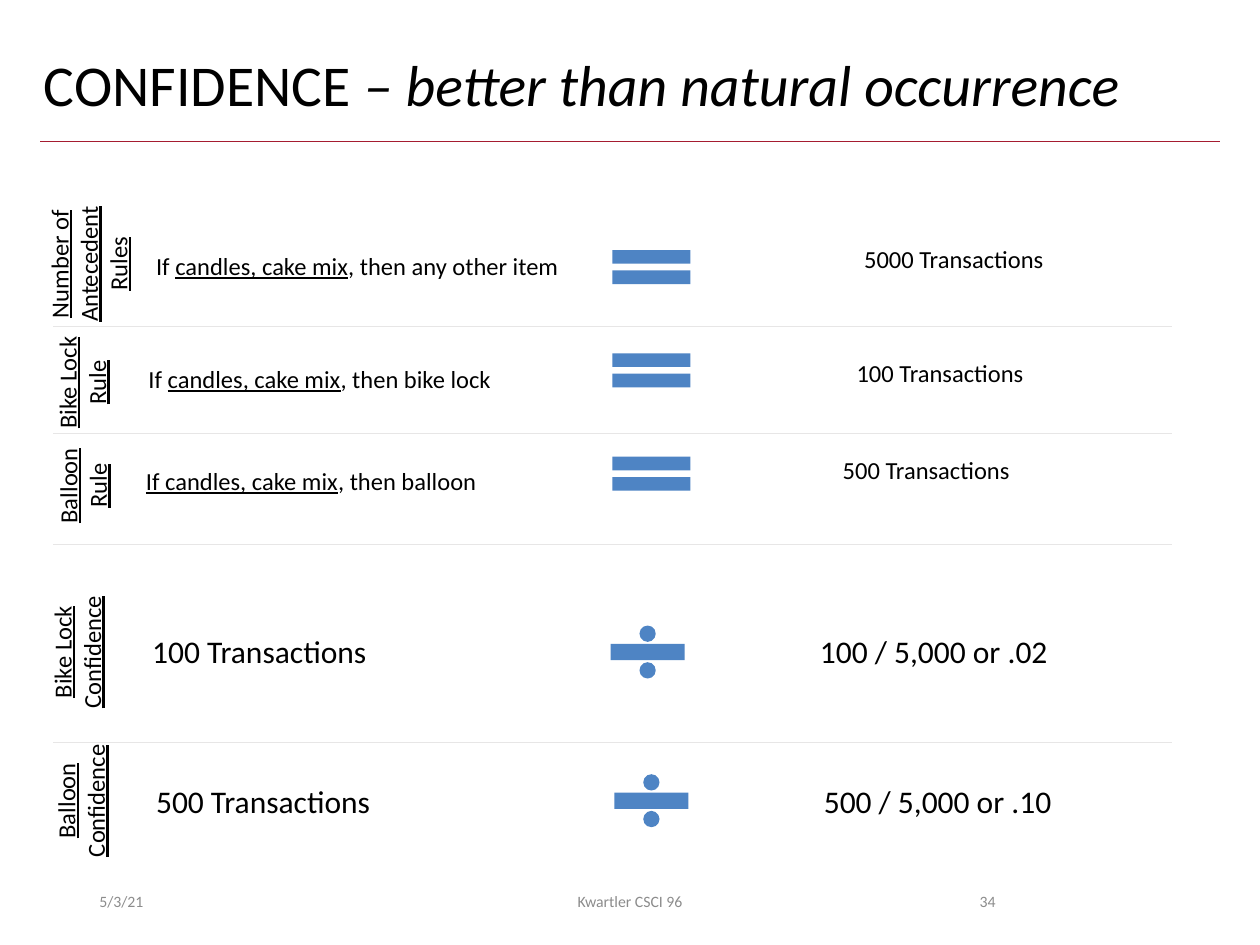
"""Build the slide that compares rule confidence for bike locks and balloons."""
from dataclasses import dataclass

from lxml.etree import SubElement
from pptx import Presentation
from pptx.dml.color import RGBColor
from pptx.enum.shapes import MSO_CONNECTOR, MSO_SHAPE
from pptx.enum.text import MSO_ANCHOR, MSO_AUTO_SIZE, PP_ALIGN
from pptx.oxml.ns import qn
from pptx.util import Inches, Pt

COLORS = {
    "text": "000000",
    "footer": "8C8C8C",
    "accent": "4E84C4",
    "title_rule": "A51C30",
    "row_rule": "E7E6E6",
}
FONT = "Calibri"
CELL = 0.1
COLS, ROWS = 100, 75
MARK = "|"


@dataclass(frozen=True)
class Box:
    col: float
    row: float
    cols: float
    rows: float

    def emu(self) -> list[int]:
        return [grid(v) for v in (self.col, self.row, self.cols, self.rows)]


@dataclass(frozen=True)
class Style:
    size: float = 14
    color: str = "text"
    emphasis: str = "underline"
    align: PP_ALIGN = PP_ALIGN.LEFT
    anchor: MSO_ANCHOR = MSO_ANCHOR.TOP
    wrap: bool = False
    rotation: int = 0
    spacing: float = 1.0


@dataclass(frozen=True)
class Row:
    label: str
    label_box: Box
    left: str
    left_box: Box
    sign: MSO_SHAPE
    sign_box: Box
    right: str
    right_box: Box
    size: int


LABEL = Style(align=PP_ALIGN.CENTER, rotation=270)
TITLE = Style(33, emphasis="italic", wrap=True, spacing=0.9)
EQUAL, DIVIDE = MSO_SHAPE.MATH_EQUAL, MSO_SHAPE.MATH_DIVIDE
EQUAL_TOP, EQUAL_STEP = 18.9, 8.2
RULE_ROWS = (25.9, 34.4, 43.2, 58.9)


def equal_box(index: int) -> Box:
    return Box(47.5, EQUAL_TOP + index * EQUAL_STEP, 8.4, 4.6)


TABLE = (
    Row("|Number of|\n|Antecedent|\n|Rules|", Box(1.4, 16.9, 11.3, 8.1),
        "If |candles, cake mix|, then any other item", Box(11.4, 19.4, 34.2, 3.4),
        EQUAL, equal_box(0), "5000 Transactions", Box(67.6, 18.9, 16.4, 3.4), 14),
    Row("|Bike Lock|\n|Rule|", Box(1.8, 27.5, 9.4, 5.7),
        "If |candles, cake mix|, then bike lock", Box(10.8, 28.4, 29.4, 3.4),
        EQUAL, equal_box(1), "100 Transactions", Box(67, 27.9, 15.4, 3.4), 14),
    Row("|Balloon|\n|Rule|", Box(2.3, 35.7, 8.5, 5.7),
        "|If candles, cake mix|, then balloon", Box(10.6, 36.5, 28.5, 3.4),
        EQUAL, equal_box(2), "500 Transactions", Box(65.9, 35.6, 15.4, 3.4), 14),
    Row("|Bike Lock|\n|Confidence|", Box(0.6, 48.9, 11, 5.7),
        "100 Transactions", Box(11.1, 49.7, 19.2, 4),
        DIVIDE, Box(47.4, 49, 8, 5.5), "100 / 5,000 or .02", Box(64.1, 49.7, 20.3, 4), 18),
    Row("|Balloon|\n|Confidence|", Box(0.9, 60.7, 11, 5.7),
        "500 Transactions", Box(11.4, 61.6, 19.2, 4),
        DIVIDE, Box(47.7, 60.8, 8, 5.5), "500 / 5,000 or .10", Box(64.4, 61.6, 20.3, 4), 18),
)
FOOTERS = (
    ("5/3/21", Box(6.9, 69.5, 22.5, 4), PP_ALIGN.LEFT),
    ("Kwartler CSCI 96", Box(33.1, 69.5, 33.8, 4), PP_ALIGN.CENTER),
    ("34", Box(70.6, 69.5, 9.4, 4), PP_ALIGN.RIGHT),
)


def grid(cells: float) -> int:
    return Inches(cells * CELL)


def rgb(name: str) -> RGBColor:
    return RGBColor.from_string(COLORS[name])


def add_text(s, text: str, box: Box, style: Style) -> None:
    sp = s.shapes.add_textbox(*box.emu())
    sp.rotation = style.rotation
    tf = sp.text_frame
    tf.word_wrap = style.wrap
    tf.auto_size = MSO_AUTO_SIZE.NONE if style.wrap else MSO_AUTO_SIZE.SHAPE_TO_FIT_TEXT
    tf.vertical_anchor = style.anchor
    for i, line in enumerate(text.split("\n")):
        p = tf.add_paragraph() if i else tf.paragraphs[0]
        p.alignment = style.align
        p.line_spacing = style.spacing
        for j, piece in enumerate(line.split(MARK)):
            if piece:
                r = p.add_run()
                r.text = piece
                r.font.name = FONT
                r.font.size = Pt(style.size)
                r.font.color.rgb = rgb(style.color)
                if j % 2:
                    setattr(r.font, style.emphasis, True)


def add_rule(s, start: float, end: float, row: float, color: str) -> None:
    y = grid(row)
    line = s.shapes.add_connector(MSO_CONNECTOR.STRAIGHT, grid(start), y, grid(end), y)
    line.line.color.rgb = rgb(color)
    line.line.width = Pt(0.5)
    SubElement(line._element.spPr, qn("a:effectLst"))


def add_sign(s, kind: MSO_SHAPE, box: Box) -> None:
    sp = s.shapes.add_shape(kind, *box.emu())
    sp.shadow.inherit = False
    sp.fill.solid()
    sp.fill.fore_color.rgb = rgb("accent")
    sp.line.fill.background()


def add_row(s, row: Row) -> None:
    add_text(s, row.left, row.left_box, Style(row.size))
    add_text(s, row.label, row.label_box, LABEL)
    add_text(s, row.right, row.right_box, Style(row.size))
    add_sign(s, row.sign, row.sign_box)


def main() -> None:
    prs = Presentation()
    prs.slide_width, prs.slide_height = grid(COLS), grid(ROWS)
    s = prs.slides.add_slide(prs.slide_layouts[6])
    add_rule(s, 3.2, 96.8, 11.2, "title_rule")
    add_text(s, "CONFIDENCE |– better than natural occurrence|", Box(2.5, 4, 95.1, 6.5), TITLE)
    for text, box, align in FOOTERS:
        add_text(s, text, box, Style(9, "footer", align=align, anchor=MSO_ANCHOR.MIDDLE, wrap=True))
    for y in RULE_ROWS:
        add_rule(s, 93, 4.2, y, "row_rule")
    for row in TABLE:
        add_row(s, row)
    prs.save("out.pptx")


if __name__ == "__main__":
    main()
